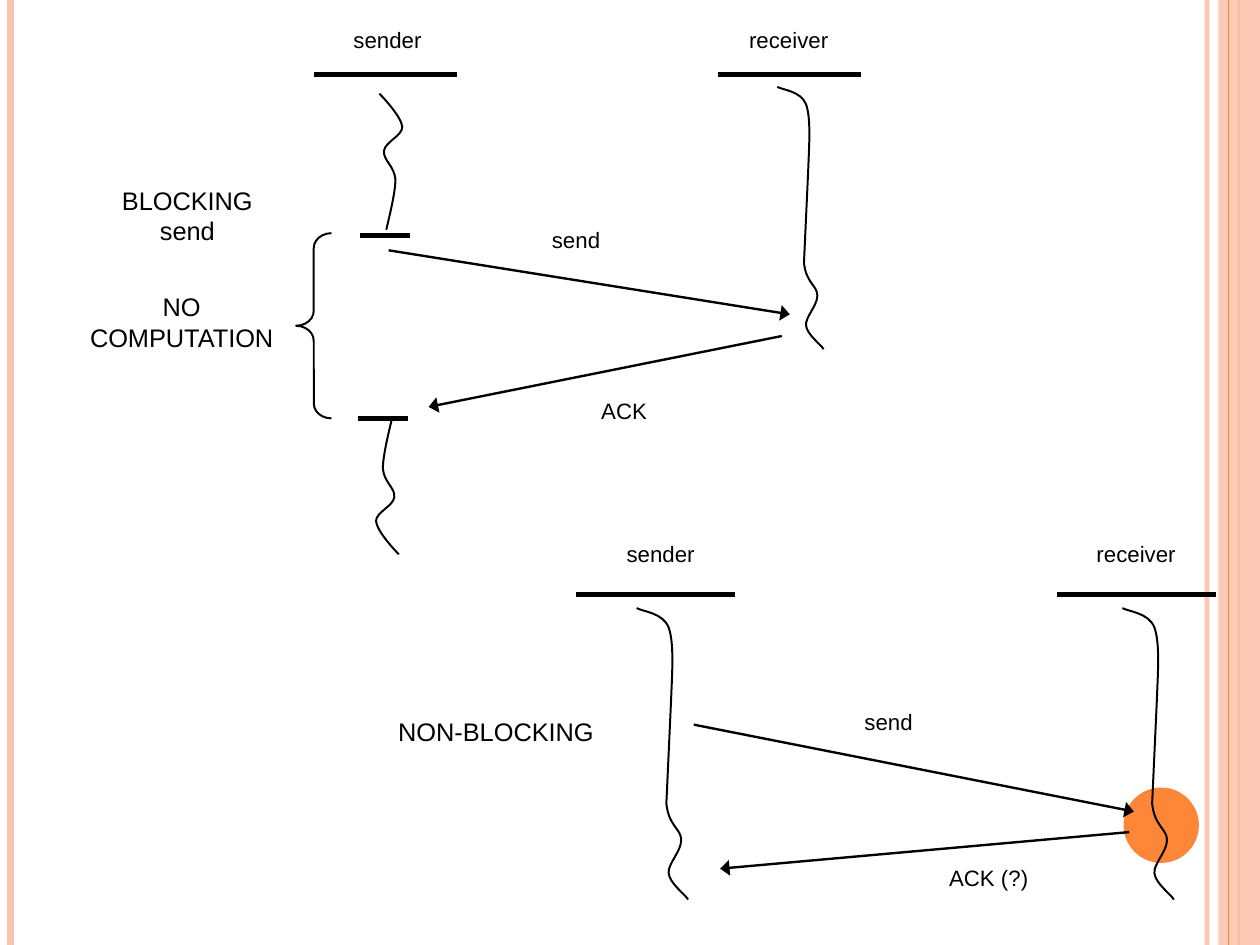
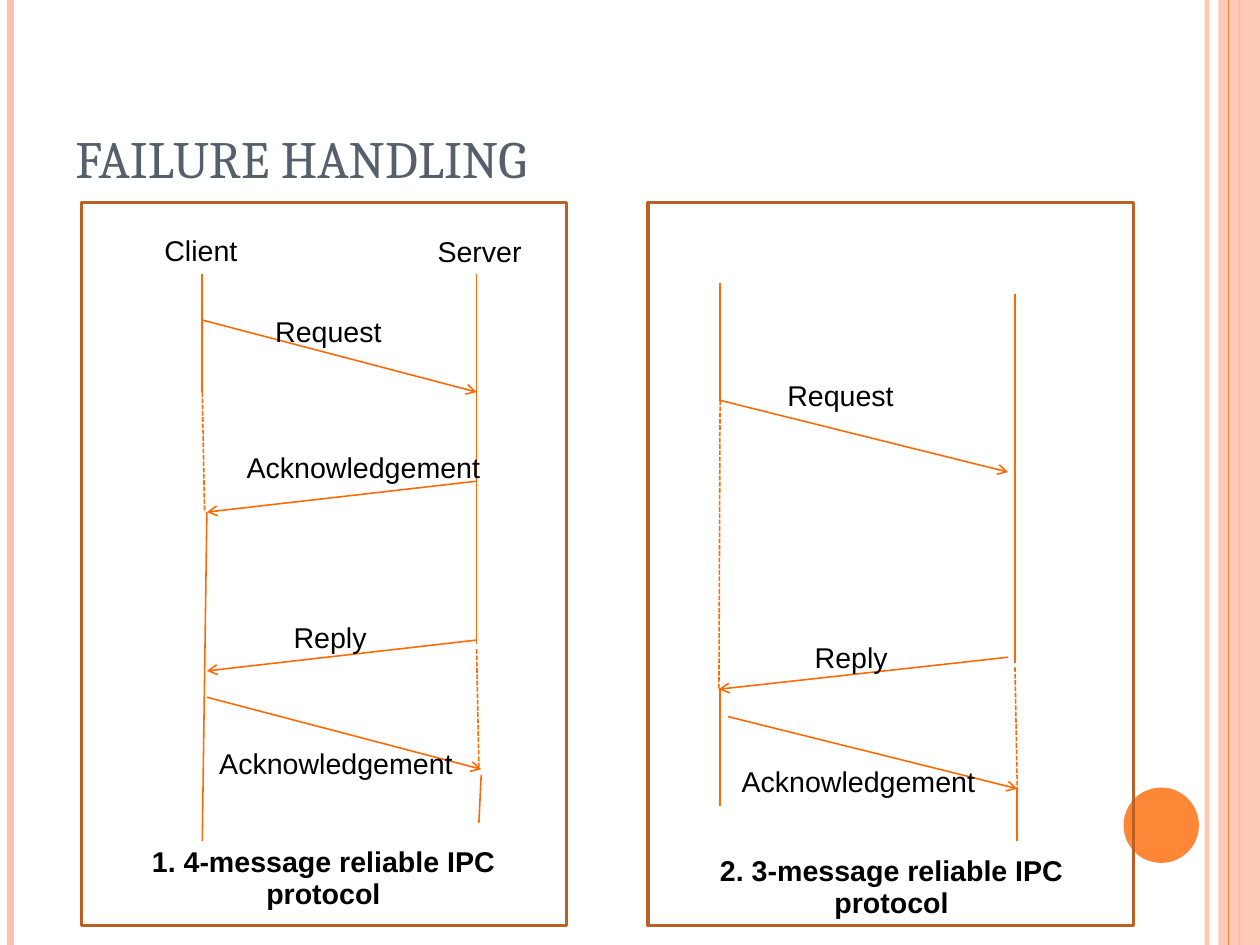
from lxml import etree
from pptx import Presentation
from pptx.dml.color import RGBColor
from pptx.enum.dml import MSO_LINE
from pptx.enum.shapes import MSO_CONNECTOR, MSO_SHAPE
from pptx.enum.text import MSO_ANCHOR, MSO_AUTO_SIZE, PP_ALIGN
from pptx.oxml.ns import qn
from pptx.util import Inches, Pt

STRAIGHT = MSO_CONNECTOR.STRAIGHT
RECT, OVAL, BRACE = MSO_SHAPE.RECTANGLE, MSO_SHAPE.OVAL, MSO_SHAPE.LEFT_BRACE
DASH = MSO_LINE.SQUARE_DOT
LEFT, CENTER = PP_ALIGN.LEFT, PP_ALIGN.CENTER
TOP, BOTTOM = MSO_ANCHOR.TOP, MSO_ANCHOR.BOTTOM

# The page is 28 by 21 cm
WIDTH, HEIGHT = 28 / 2.54, 21 / 2.54
COLORS = {"ink": "000000", "title": "575F6D", "peach": "FEC3AE",
          "orange": "FE8637", "flow": "FF6903", "frame": "BB6126"}
BODY_FONT, TITLE_FONT = "Arial", "Cambria"

# Arrowhead widths by type
HEAD_WIDTHS = {"triangle": "lg", "arrow": "med"}

# Bezier offsets in inches from the start point, three to a curve
SHORT_WAVE = [(.04, .04), (.19, .20), (.20, .29),
              (.20, .37), (.05, .42), (.04, .50),
              (.03, .58), (.13, .63), (.14, .75),
              (.14, .87), (.08, 1.10), (.06, 1.19)]
LONG_WAVE = [(.05, .03), (.23, .04), (.28, .17),
             (.33, .31), (.31, .57), (.30, .83),
             (.30, .83), (.26, 1.71), (.26, 1.71),
             (.28, 1.91), (.39, 1.93), (.39, 2.03),
             (.39, 2.13), (.27, 2.24), (.28, 2.32),
             (.29, 2.41), (.42, 2.50), (.45, 2.55)]


def rgb(name):
    return RGBColor.from_string(COLORS[name])


def set_opacity(element, percent):
    color = element.find(".//" + qn("a:srgbClr"))
    etree.SubElement(color, qn("a:alpha"), val=str(percent * 1000))


def add_line(s, x1, y1, x2, y2, color, width, dash=None, tail=None):
    c = s.shapes.add_connector(STRAIGHT, *map(Inches, (x1, y1, x2, y2)))
    c.line.color.rgb = rgb(color)
    c.line.width = Pt(width)
    if dash:
        c.line.dash_style = dash
    if tail:
        etree.SubElement(c.get_or_add_ln(), qn("a:tailEnd"),
                         type=tail, w=HEAD_WIDTHS[tail], len="med")
    etree.SubElement(c.element.spPr, qn("a:effectLst"))
    return c


def style_outline(sp, color, width):
    sp.shadow.inherit = False
    sp.fill.background()
    sp.line.color.rgb = rgb(color)
    sp.line.width = Pt(width)


def add_outline(s, kind, box, color, width):
    sp = s.shapes.add_shape(kind, *map(Inches, box))
    style_outline(sp, color, width)
    return sp


def add_solid(s, kind, box, color):
    sp = s.shapes.add_shape(kind, *map(Inches, box))
    sp.shadow.inherit = False
    sp.fill.solid()
    sp.fill.fore_color.rgb = rgb(color)
    sp.line.fill.background()
    return sp


def add_wave(s, x, y, offsets, scale=1):
    """Process line: a freeform whose points are joined by Bezier curves."""
    builder = s.shapes.build_freeform(Inches(x), Inches(y))
    builder.add_line_segments([(Inches(x + dx * scale), Inches(y + dy * scale))
                               for dx, dy in offsets], close=False)
    sp = builder.convert_to_shape()
    outline = sp.element.find(".//" + qn("a:path"))
    segments = outline.findall(qn("a:lnTo"))
    for i in range(0, len(segments), 3):
        curve = etree.SubElement(outline, qn("a:cubicBezTo"))
        for segment in segments[i:i + 3]:
            curve.append(segment[0])
            outline.remove(segment)
    style_outline(sp, "ink", 1.25)


def add_text(s, box, lines, size, align=CENTER, bold=False, spacing=None):
    tf = s.shapes.add_textbox(*map(Inches, box)).text_frame
    tf.word_wrap = True
    tf.vertical_anchor = TOP
    tf.text = lines
    for p in tf.paragraphs:
        p.alignment = align
        p.line_spacing = spacing
        p.font.name = BODY_FONT
        p.font.size = Pt(size)
        p.font.bold = bold
        p.font.color.rgb = rgb("ink")


def add_master_bands(prs, s):
    """Draw the bands on a slide, then move them to the master."""
    edge = add_line(s, 10.56, 0, 10.56, HEIGHT, "peach", 3)
    set_opacity(edge.element, 93)
    left = add_line(s, .09, 0, .09, HEIGHT, "peach", 4.5)
    right = add_line(s, 10.84, 0, 10.84, HEIGHT, "orange", 1.5)
    band = add_solid(s, RECT, (10.66, 0, WIDTH - 10.66, HEIGHT), "peach")
    set_opacity(band.element, 87)
    thin = add_line(s, 10.75, 0, 10.75, HEIGHT, "orange", .75)
    disc = add_solid(s, OVAL, (9.83, 6.89, .66, .66), "orange")
    tree = prs.slide_master.shapes.element
    for i, sp in enumerate((edge, left, right, band, thin, disc)):
        sp.element.find(".//" + qn("p:cNvPr")).set("id", str(100 + i))
        tree.insert(2 + i, sp.element)


def add_title(s, text):
    title = s.shapes.title
    title.left, title.top, title.width, title.height = map(
        Inches, (.55, .33, 9, 1.38))
    tf = title.text_frame
    tf.text = text
    tf.auto_size = MSO_AUTO_SIZE.NONE
    tf.vertical_anchor = BOTTOM
    tf.margin_left = tf.margin_right = Inches(.11)
    tf.margin_top = tf.margin_bottom = Inches(.06)
    p = tf.paragraphs[0]
    p.alignment = LEFT
    p.font.name = TITLE_FONT
    p.font.size = Pt(33)
    p.font.color.rgb = rgb("title")


def build_send_slide(s):
    # Bars: process heads, then start and end of the blocked period
    for x, y, length in [(2.75, .65, 1.25), (6.28, .65, 1.25),
                         (3.15, 2.06, .44), (3.13, 3.66, .44),
                         (5.04, 5.2, 1.39), (9.25, 5.2, 1.39)]:
        add_line(s, x, y, x + length, y, "ink", 3)

    # Process lines
    add_wave(s, 3.32, .82, SHORT_WAVE)
    add_wave(s, 3.49, 4.85, SHORT_WAVE, -1)
    add_wave(s, 6.8, .76, LONG_WAVE, .9)
    for x in (5.57, 9.82):
        add_wave(s, x, 5.32, LONG_WAVE)

    # Messages
    for ends in [(3.4, 2.19, 6.91, 2.75), (6.84, 2.94, 3.75, 3.56),
                 (6.07, 6.34, 9.92, 7.1), (9.88, 7.28, 6.3, 7.6)]:
        add_line(s, *ends, "ink", 1.5, tail="triangle")

    # Blocked period
    brace = add_outline(s, BRACE, (2.59, 2.04, .31, 1.62), "ink", 1.25)
    brace.adjustments[0] = .42

    # Labels
    for x, y, w, text in [(2.74, .18, 1.3, "sender"),
                          (6.09, .18, 1.62, "receiver"),
                          (4.44, 1.93, 1.2, "send"),
                          (4.95, 3.43, 1.02, "ACK"),
                          (5.06, 4.68, 1.44, "sender"),
                          (9.04, 4.68, 1.8, "receiver"),
                          (7.11, 6.15, 1.33, "send"),
                          (7.88, 7.51, 1.54, "ACK (?)")]:
        add_text(s, (x, y, w, .46), text, 14)
    for x, y, w, text in [(.76, 1.57, 1.76, "BLOCKING\nsend"),
                          (.55, 2.5, 2.08, "NO\nCOMPUTATION"),
                          (3.12, 6.22, 2.44, "NON-BLOCKING")]:
        add_text(s, (x, y, w, .7), text, 16)


def add_protocol(s, panel_x, solid, dashed, messages, labels, caption):
    add_outline(s, RECT, (panel_x, 1.77, 4.25, 6.33), "frame", 2)
    for ends in solid:
        add_line(s, *ends, "flow", 1)
    for ends in dashed:
        add_line(s, *ends, "flow", 1, dash=DASH)
    for ends in messages:
        add_line(s, *ends, "flow", 1, tail="arrow")
    for x, y, w, text in labels:
        add_text(s, (x, y, w, .38), text, 18, LEFT, spacing=.94)
    x, y, w, text = caption
    add_text(s, (x, y, w, .67), text, 18, bold=True, spacing=.94)


def build_failure_slide(s):
    add_title(s, "FAILURE HANDLING")
    add_protocol(
        s, .71,
        solid=[(1.77, 2.4, 1.77, 3.43), (1.81, 4.48, 1.77, 7.36),
               (4.17, 2.4, 4.17, 5.63), (4.21, 6.78, 4.19, 7.2)],
        dashed=[(1.77, 3.43, 1.79, 4.48), (4.17, 5.68, 4.19, 6.73)],
        messages=[(1.77, 2.8, 4.17, 3.43), (4.17, 4.21, 1.81, 4.48),
                  (4.17, 5.6, 1.81, 5.87), (1.81, 6.1, 4.21, 6.73)],
        labels=[(1.34, 2.01, .9, "Client"), (3.73, 2.02, 1, "Server"),
                (2.31, 2.72, 1.16, "Request"),
                (2.06, 3.91, 2.3, "Acknowledgement"),
                (2.47, 5.4, 1.16, "Reply"),
                (1.82, 6.5, 2.3, "Acknowledgement")],
        caption=(.85, 7.36, 3.96, "1. 4-message reliable IPC protocol"))
    add_protocol(
        s, 5.67,
        solid=[(6.3, 2.48, 6.3, 3.5), (6.3, 6.02, 6.3, 7.05),
               (8.88, 2.57, 8.88, 5.8), (8.9, 6.89, 8.9, 7.36)],
        dashed=[(6.3, 3.5, 6.29, 6.04), (8.88, 5.84, 8.9, 6.9)],
        messages=[(6.29, 3.5, 8.82, 4.13), (8.82, 5.75, 6.29, 6.03),
                  (6.37, 6.27, 8.9, 6.9)],
        labels=[(6.79, 3.28, 1.16, "Request"), (7.03, 5.57, 1.16, "Reply"),
                (6.39, 6.66, 2.3, "Acknowledgement")],
        caption=(5.91, 7.44, 3.78, "2. 3-message reliable IPC protocol"))


def main():
    prs = Presentation()
    prs.slide_width, prs.slide_height = Inches(WIDTH), Inches(HEIGHT)
    title_only, blank = prs.slide_layouts[5], prs.slide_layouts[6]
    s = prs.slides.add_slide(blank)
    add_master_bands(prs, s)
    build_send_slide(s)
    build_failure_slide(prs.slides.add_slide(title_only))
    prs.save("out.pptx")


if __name__ == "__main__":
    main()
